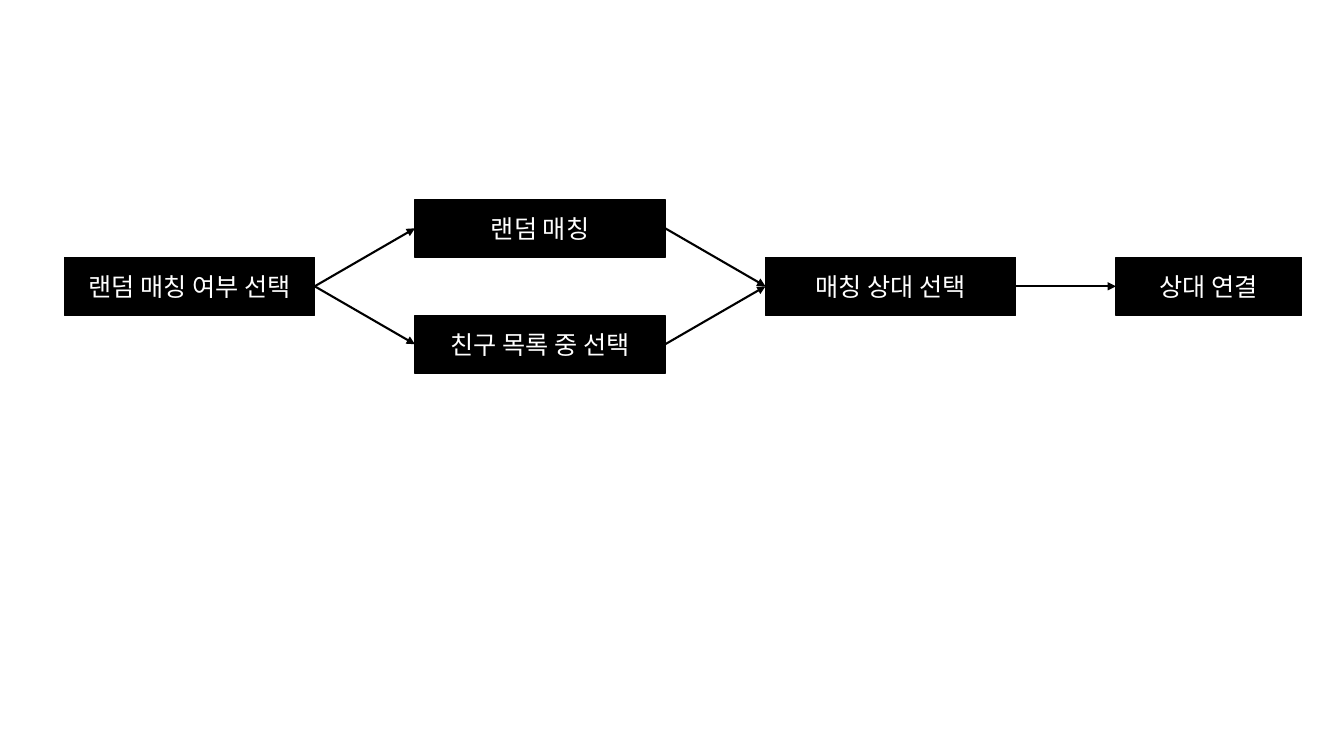
from lxml import etree
from pptx import Presentation
from pptx.dml.color import RGBColor
from pptx.enum.shapes import MSO_CONNECTOR, MSO_SHAPE
from pptx.enum.text import MSO_ANCHOR, PP_ALIGN
from pptx.oxml.ns import qn
from pptx.util import Pt

RECTANGLE = MSO_SHAPE.RECTANGLE
STRAIGHT = MSO_CONNECTOR.STRAIGHT
MIDDLE = MSO_ANCHOR.MIDDLE
CENTER = PP_ALIGN.CENTER

FONT = "Noto Sans CJK KR"
BLACK, WHITE = "000000", "FFFFFF"
FULL_WIDTH, SHORT_WIDTH = 178.8, 132.6

STEPS = {
    "random": ("랜덤 매칭", 1, 0, FULL_WIDTH),
    "friends": ("친구 목록 중 선택", 1, 2, FULL_WIDTH),
    "choice": ("랜덤 매칭 여부 선택", 0, 1, FULL_WIDTH),
    "partner": ("매칭 상대 선택", 2, 1, FULL_WIDTH),
    "connected": ("상대 연결", 3, 1, SHORT_WIDTH),
}
FLOWS = [
    ("choice", "random"),
    ("choice", "friends"),
    ("random", "partner"),
    ("friends", "partner"),
    ("partner", "connected"),
]

LEFT, TOP = 46, 142.4
COLUMN_PITCH, ROW_HEIGHT = 250.4, 41.4
LEFT_SITE, RIGHT_SITE = 1, 3


def color(hex_value):
    return RGBColor.from_string(hex_value)


def write(frame, text, size=18, fill=WHITE, align=CENTER, anchor=MIDDLE):
    frame.word_wrap = True
    frame.vertical_anchor = anchor
    paragraph = frame.paragraphs[0]
    paragraph.alignment = align
    run = paragraph.add_run()
    run.text = text
    run.font.size = Pt(size)
    run.font.name = FONT
    run.font.color.rgb = color(fill)
    east_asian = etree.SubElement(run.font._element, qn("a:ea"))
    east_asian.set("typeface", FONT)


def draw_step(slide, label, column, row, width):
    step = slide.shapes.add_shape(
        RECTANGLE,
        Pt(LEFT + column * COLUMN_PITCH),
        Pt(TOP + row * ROW_HEIGHT),
        Pt(width),
        Pt(ROW_HEIGHT),
    )
    step.shadow.inherit = False
    step.fill.solid()
    step.fill.fore_color.rgb = color(BLACK)
    step.line.color.rgb = color(BLACK)
    step.line.width = Pt(1)
    write(step.text_frame, label)
    return step


def draw_flow(slide, source, target):
    arrow = slide.shapes.add_connector(STRAIGHT, 0, 0, 0, 0)
    arrow.begin_connect(source, RIGHT_SITE)
    arrow.end_connect(target, LEFT_SITE)
    arrow.line.color.rgb = color(BLACK)
    arrow.line.width = Pt(1.5)
    properties = arrow._element.spPr
    head = etree.SubElement(properties.find(qn("a:ln")), qn("a:tailEnd"))
    head.set("type", "triangle")
    etree.SubElement(properties, qn("a:effectLst"))


def main():
    deck = Presentation()
    deck.slide_width, deck.slide_height = Pt(960), Pt(540)
    slide = deck.slides.add_slide(deck.slide_layouts[6])
    steps = {key: draw_step(slide, *step) for key, step in STEPS.items()}
    for source, target in FLOWS:
        draw_flow(slide, steps[source], steps[target])
    deck.save("out.pptx")


if __name__ == "__main__":
    main()
